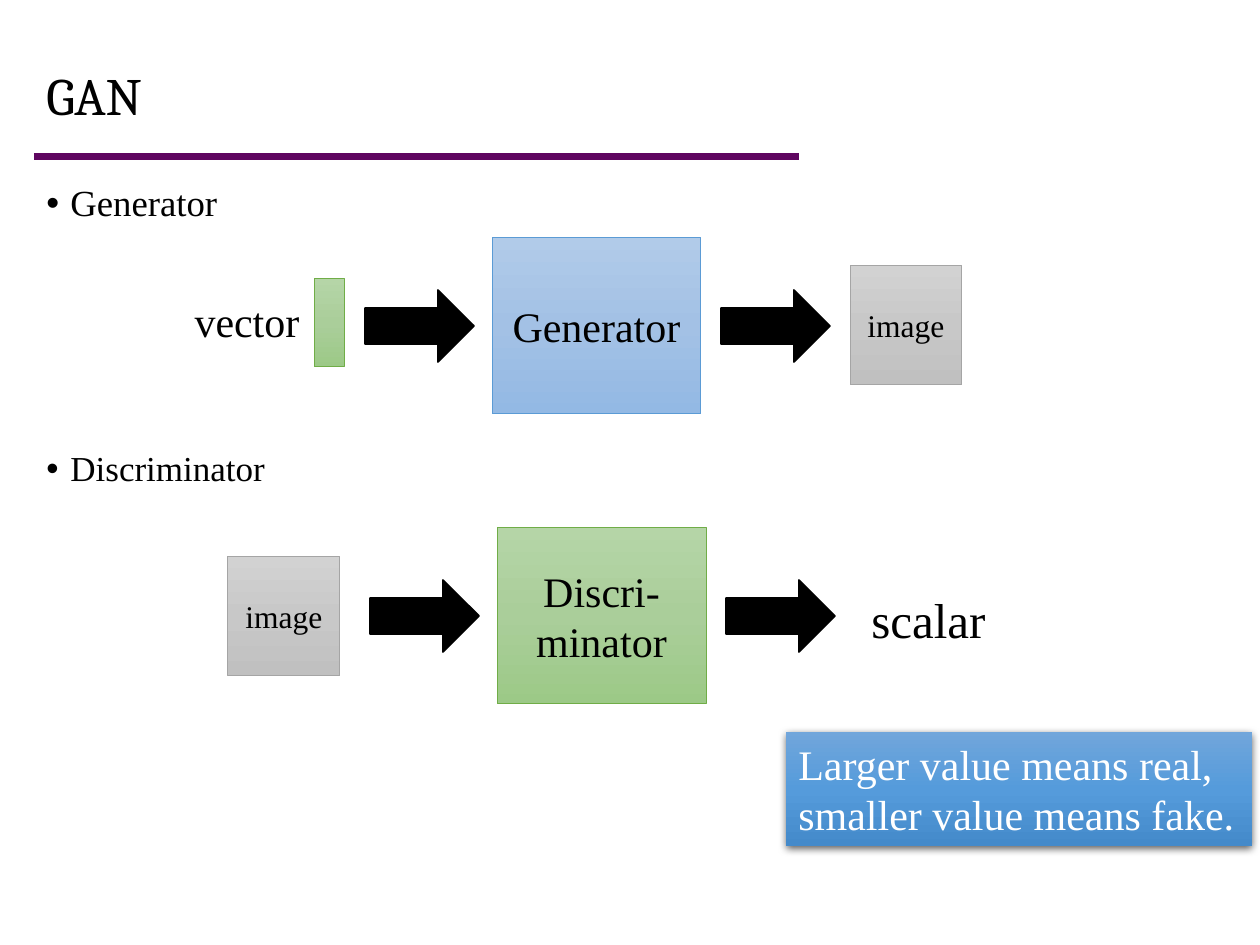
from copy import deepcopy

from lxml.etree import SubElement
from pptx import Presentation
from pptx.dml.color import RGBColor
from pptx.enum.shapes import MSO_CONNECTOR, MSO_SHAPE
from pptx.enum.text import MSO_ANCHOR, PP_ALIGN
from pptx.oxml.ns import qn
from pptx.util import Emu, Pt

SERIF = "Times New Roman"
BLUE = ("B1CBE9", "A3C1E5", "93B9E4")
GREEN = ("B5D5A7", "AACE9A", "9CC987")
GRAY = ("D2D2D2", "C8C8C8", "C0C0C0")
DEEP_BLUE = ("71A6DB", "559BDB", "448ACA")
BLUE_LINE, GREEN_LINE, GRAY_LINE = "5B9BD5", "70AD47", "A5A5A5"


def px(length):
    """Turn pixels into EMU at 126 pixels to the inch."""
    return Emu(round(length * 914400 / 126))


def color(value):
    """Turn a hex string into a colour."""
    return RGBColor.from_string(value)


def add_span(para, text, size, ink="000000", font=SERIF):
    """Add one styled run to a paragraph."""
    span = para.add_run()
    span.text = text
    span.font.size = Pt(size)
    span.font.name = font
    span.font.color.rgb = color(ink)


def add_text(page, place, text, size, align=PP_ALIGN.LEFT,
             anchor=MSO_ANCHOR.TOP, font=SERIF):
    """Add a wrapped text box with one line of text."""
    frame = page.shapes.add_textbox(*map(px, place)).text_frame
    frame.word_wrap = True
    frame.vertical_anchor = anchor
    para = frame.paragraphs[0]
    para.alignment = align
    add_span(para, text, size, font=font)


def add_bullets(page, place, items):
    """Add a bulleted list of text, size and space before."""
    frame = page.shapes.add_textbox(*map(px, place)).text_frame
    frame.word_wrap = True
    for index, (text, size, gap) in enumerate(items):
        para = frame.add_paragraph() if index else frame.paragraphs[0]
        para.line_spacing = 0.9
        para.space_before = Pt(gap)
        properties = para._p.get_or_add_pPr()
        properties.set("marL", str(px(24)))
        properties.set("indent", str(-px(24)))
        SubElement(properties, qn("a:buFont"), typeface="Arial")
        SubElement(properties, qn("a:buChar"), char="•")
        add_span(para, text, size)


def add_block(page, place, shades, outline=None, text="", size=24,
              ink="000000", align=PP_ALIGN.CENTER, anchor=MSO_ANCHOR.MIDDLE):
    """Add a rectangle with a three-stop vertical gradient."""
    block = page.shapes.add_shape(MSO_SHAPE.RECTANGLE, *map(px, place))
    block.shadow.inherit = False
    block.fill.gradient()
    block.fill.gradient_angle = 270
    first = block._element.spPr.find(".//" + qn("a:gs"))
    first.addnext(deepcopy(first))
    for index, (stop, shade) in enumerate(zip(block.fill.gradient_stops, shades)):
        stop.position = index / 2
        stop.color.rgb = color(shade)
    if outline:
        block.line.color.rgb = color(outline)
        block.line.width = Pt(0.5)
    else:
        block.line.fill.background()
    if text:
        frame = block.text_frame
        frame.word_wrap = True
        frame.vertical_anchor = anchor
        frame.paragraphs[0].alignment = align
        add_span(frame.paragraphs[0], text, size, ink)
    return block


def add_shadow(block):
    """Give a block a soft shadow below it."""
    effects = block._element.spPr.find(qn("a:effectLst"))
    shadow = SubElement(effects, qn("a:outerShdw"), blurRad=str(Pt(4.5)),
                        dist=str(Pt(1.5)), dir="5400000", algn="ctr", rotWithShape="0")
    tone = SubElement(shadow, qn("a:srgbClr"), val="000000")
    SubElement(tone, qn("a:alpha"), val="63000")


def add_arrow(page, left, top):
    """Add a black block arrow pointing right."""
    arrow = page.shapes.add_shape(MSO_SHAPE.RIGHT_ARROW, px(left), px(top), px(109), px(72))
    arrow.shadow.inherit = False
    arrow.fill.solid()
    arrow.fill.fore_color.rgb = color("000000")
    arrow.line.color.rgb = color("000000")
    arrow.line.width = Pt(1)


def add_rule(page, left, right, top):
    """Add the purple rule under the title."""
    rule = page.shapes.add_connector(MSO_CONNECTOR.STRAIGHT, px(left), px(top), px(right), px(top))
    rule.line.color.rgb = color("5F0660")
    rule.line.width = Pt(4)
    SubElement(rule._element.spPr, qn("a:effectLst"))


def add_image_block(page, left, top):
    """Add a gray block that stands for an image."""
    add_block(page, (left, top, 112, 120), GRAY, GRAY_LINE, "image", 18)


def add_network(page, left, top, shades, outline, name):
    """Add a network block with an arrow into it and one out of it."""
    add_block(page, (left, top, 209, 177), shades, outline, name)
    for offset in (-127, 229):
        add_arrow(page, left + offset, top + 53)


def main():
    """Build the slide and save it."""
    deck = Presentation()
    deck.slide_width, deck.slide_height = px(1260), px(945)
    page = deck.slides.add_slide(deck.slide_layouts[6])
    add_rule(page, 34, 799, 157)
    add_text(page, (34, 44, 984, 101), "GAN", 30, anchor=MSO_ANCHOR.MIDDLE, font="Cambria")
    add_bullets(page, (34, 179, 1203, 684),
                [("Generator", 21, 0), ("Discriminator", 20, 129.5)])

    add_network(page, 492, 237, BLUE, BLUE_LINE, "Generator")
    add_image_block(page, 850, 265)
    add_block(page, (314, 279, 30, 88), GREEN, GREEN_LINE)
    add_text(page, (178, 289, 138, 63), "vector", 24, PP_ALIGN.CENTER)

    add_network(page, 497, 527, GREEN, GREEN_LINE, "Discri-minator")
    add_image_block(page, 228, 556)
    add_text(page, (859, 583, 165, 72), "scalar", 28)

    banner = add_block(page, (786, 732, 466, 114), DEEP_BLUE,
                       text="Larger value means real, smaller value means fake.",
                       ink="FFFFFF", align=PP_ALIGN.LEFT, anchor=MSO_ANCHOR.TOP)
    add_shadow(banner)
    deck.save("out.pptx")


if __name__ == "__main__":
    main()
